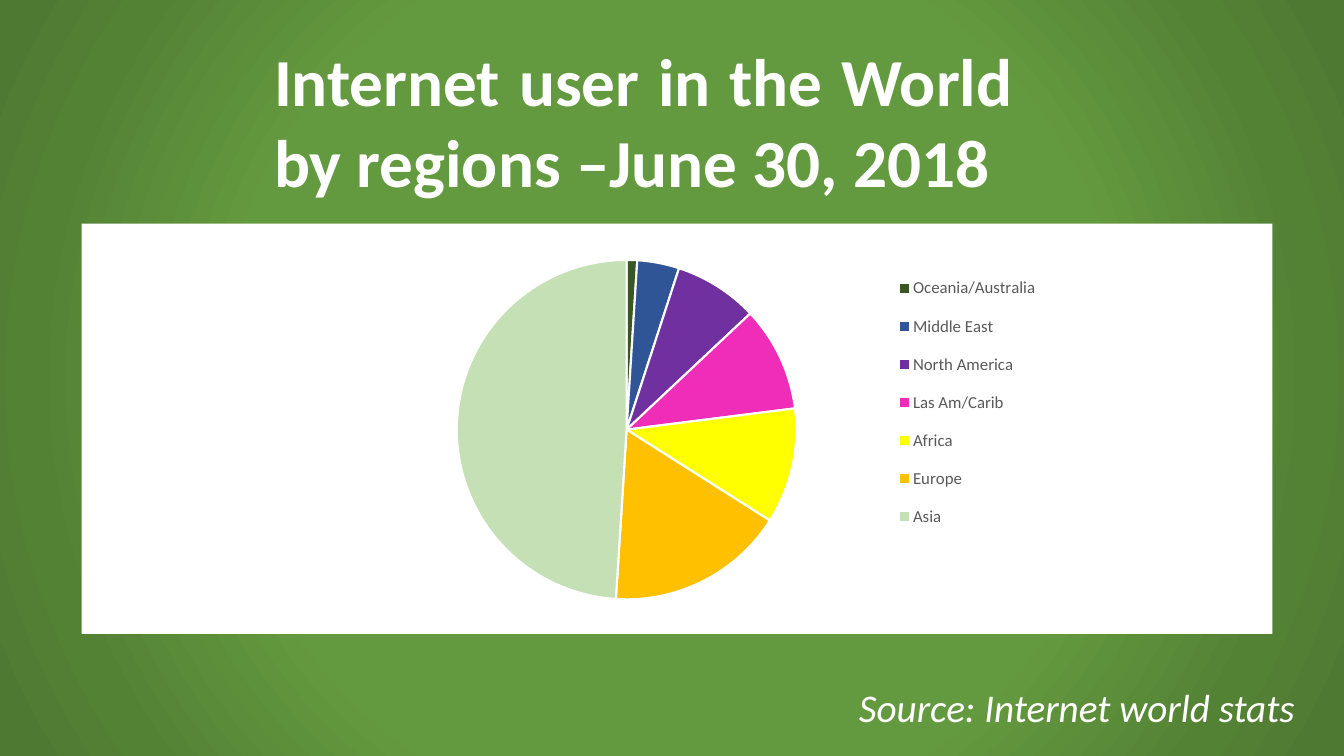
from dataclasses import dataclass

from lxml import etree
from pptx import Presentation
from pptx import util as u
from pptx.chart.data import CategoryChartData
from pptx.dml.color import RGBColor
from pptx.enum import chart as charts, shapes, text
from pptx.oxml import parse_xml
from pptx.oxml.ns import nsdecls, qn

EMU_PER_PX = 9144
FONT = "Calibri"
WHITE = RGBColor(0xFF, 0xFF, 0xFF)
BLACK = RGBColor(0, 0, 0)
LEGEND_GREY = RGBColor(0x59, 0x59, 0x59)


@dataclass(frozen=True)
class Box:
    left: int
    top: int
    width: int
    height: int

    def emu(self) -> list[u.Emu]:
        return [u.Emu(n * EMU_PER_PX) for n in (self.left, self.top, self.width, self.height)]


@dataclass(frozen=True)
class Region:
    name: str
    percent: int
    color: RGBColor


@dataclass(frozen=True)
class GradientStop:
    percent: int
    color: RGBColor


REGIONS = [
    Region("Oceania/Australia", 1, RGBColor(0x38, 0x57, 0x23)),
    Region("Middle East", 4, RGBColor(0x2F, 0x55, 0x97)),
    Region("North America", 8, RGBColor(0x70, 0x30, 0xA0)),
    Region("Las Am/Carib", 10, RGBColor(0xEF, 0x2D, 0xB8)),
    Region("Africa", 11, RGBColor(0xFF, 0xFF, 0x00)),
    Region("Europe", 17, RGBColor(0xFF, 0xC0, 0x00)),
    Region("Asia", 49, RGBColor(0xC5, 0xE0, 0xB4)),
]
BACKDROP = [
    GradientStop(19, RGBColor(0x64, 0x9A, 0x3F)),
    GradientStop(57, RGBColor(0x64, 0x9A, 0x3F)),
    GradientStop(83, RGBColor(0x54, 0x82, 0x35)),
    GradientStop(97, RGBColor(0x4E, 0x79, 0x32)),
]


def paint_backdrop(slide, stops: list[GradientStop]) -> None:
    slide.background.fill.gradient()
    gradient = slide.element.find(".//" + qn("a:gradFill"))
    for child in list(gradient):
        gradient.remove(child)
    stop_list = etree.SubElement(gradient, qn("a:gsLst"))
    for stop in stops:
        mark = etree.SubElement(stop_list, qn("a:gs"), pos=str(stop.percent * 1000))
        etree.SubElement(mark, qn("a:srgbClr"), val=str(stop.color))
    circle = etree.SubElement(gradient, qn("a:path"))
    circle.set("path", "circle")
    etree.SubElement(circle, qn("a:fillToRect"), l="50000", t="50000", r="50000", b="50000")


def add_text(slide, box: Box, words: str, *, size: int, bold: bool = False,
             italic: bool = False, align=text.PP_ALIGN.LEFT) -> None:
    frame = slide.shapes.add_textbox(*box.emu()).text_frame
    frame.word_wrap = True
    paragraph = frame.paragraphs[0]
    paragraph.alignment = align
    run = paragraph.add_run()
    run.text = words
    style_font(run.font, size, WHITE)
    run.font.bold = bold
    run.font.italic = italic


def style_font(font, size: int, color: RGBColor) -> None:
    font.name = FONT
    font.size = u.Pt(size)
    font.color.rgb = color


def add_panel(slide, box: Box) -> None:
    panel = slide.shapes.add_shape(shapes.MSO_SHAPE.RECTANGLE, *box.emu())
    panel.shadow.inherit = False
    panel.fill.solid()
    panel.fill.fore_color.rgb = WHITE
    panel.line.fill.background()


def place_part(part, index: int, x: float, y: float, w: float, h: float,
               target: str = "") -> None:
    for old in part.findall(qn("c:layout")):
        part.remove(old)
    part.insert(index, parse_xml(
        f'<c:layout {nsdecls("c")}><c:manualLayout>{target}'
        '<c:xMode val="edge"/><c:yMode val="edge"/>'
        f'<c:x val="{x}"/><c:y val="{y}"/><c:w val="{w}"/><c:h val="{h}"/>'
        '</c:manualLayout></c:layout>'))


def add_region_pie(slide, box: Box, regions: list[Region]) -> None:
    shares = CategoryChartData()
    shares.categories = [region.name for region in regions]
    shares.add_series("Series 1", [region.percent for region in regions])
    pie = slide.shapes.add_chart(charts.XL_CHART_TYPE.PIE, *box.emu(), shares).chart
    pie.has_title = False
    style_font(pie.font, 10, BLACK)
    pie.plots[0].vary_by_categories = True
    for index, region in enumerate(regions):
        wedge = pie.plots[0].series[0].points[index].format
        wedge.fill.solid()
        wedge.fill.fore_color.rgb = region.color
        wedge.line.color.rgb = WHITE
        wedge.line.width = u.Pt(1.5)
    pie.has_legend = True
    pie.legend.position = charts.XL_LEGEND_POSITION.BOTTOM
    pie.legend.include_in_layout = False
    style_font(pie.legend.font, 12, LEGEND_GREY)
    plot_area = pie.element.find(".//" + qn("c:plotArea"))
    legend = pie.element.find(".//" + qn("c:legend"))
    place_part(plot_area, 0, 0, 0.08, 0.96, 0.75, '<c:layoutTarget val="inner"/>')
    place_part(legend, 1, 0.78, 0.08, 0.22, 0.63)


def main() -> None:
    deck = Presentation()
    deck.slide_width = u.Emu(1333 * EMU_PER_PX)
    deck.slide_height = u.Emu(750 * EMU_PER_PX)
    slide = deck.slides.add_slide(deck.slide_layouts[6])
    paint_backdrop(slide, BACKDROP)
    add_text(slide, Box(262, 34, 753, 172),
             "Internet user in the World by regions –June 30, 2018",
             size=48, bold=True, align=text.PP_ALIGN.JUSTIFY)
    add_panel(slide, Box(81, 222, 1181, 407))
    add_text(slide, Box(842, 673, 479, 57), "Source: Internet world stats",
             size=28, italic=True)
    add_region_pie(slide, Box(226, 222, 824, 449), REGIONS)
    deck.save("out.pptx")


if __name__ == "__main__":
    main()
